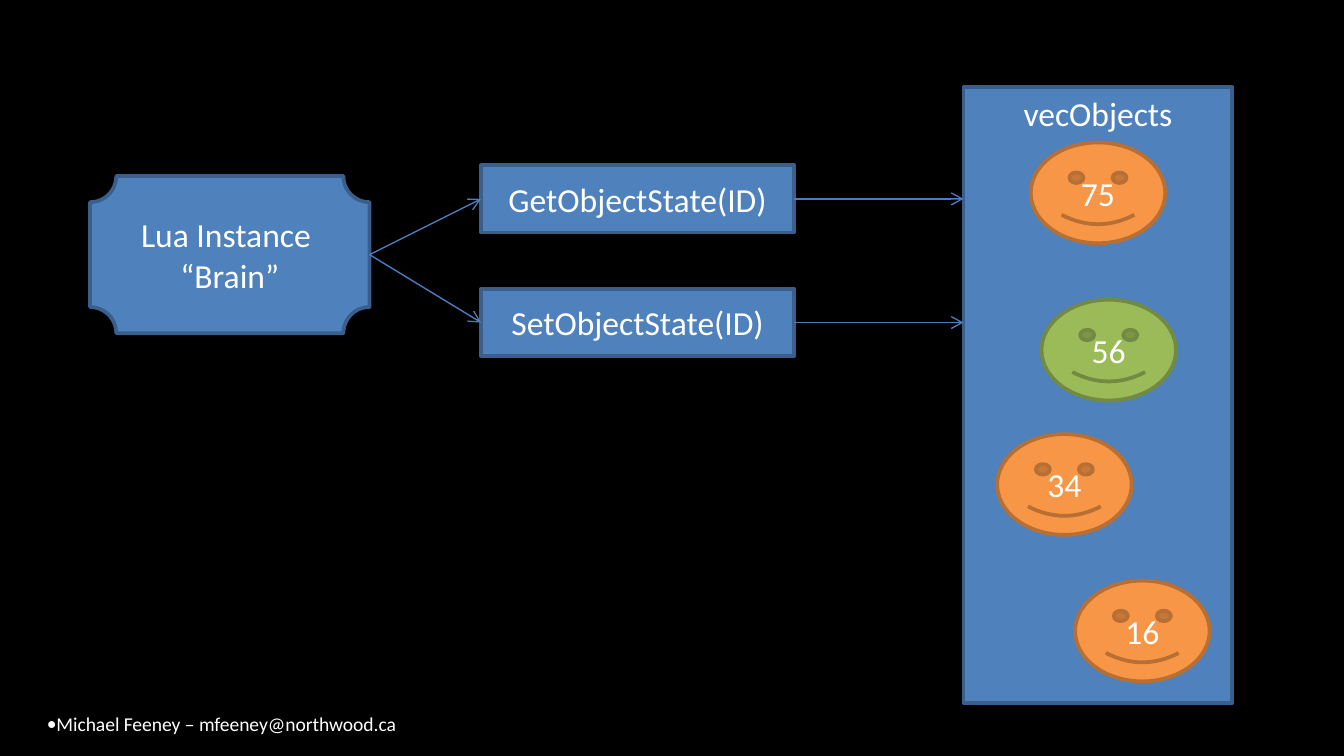
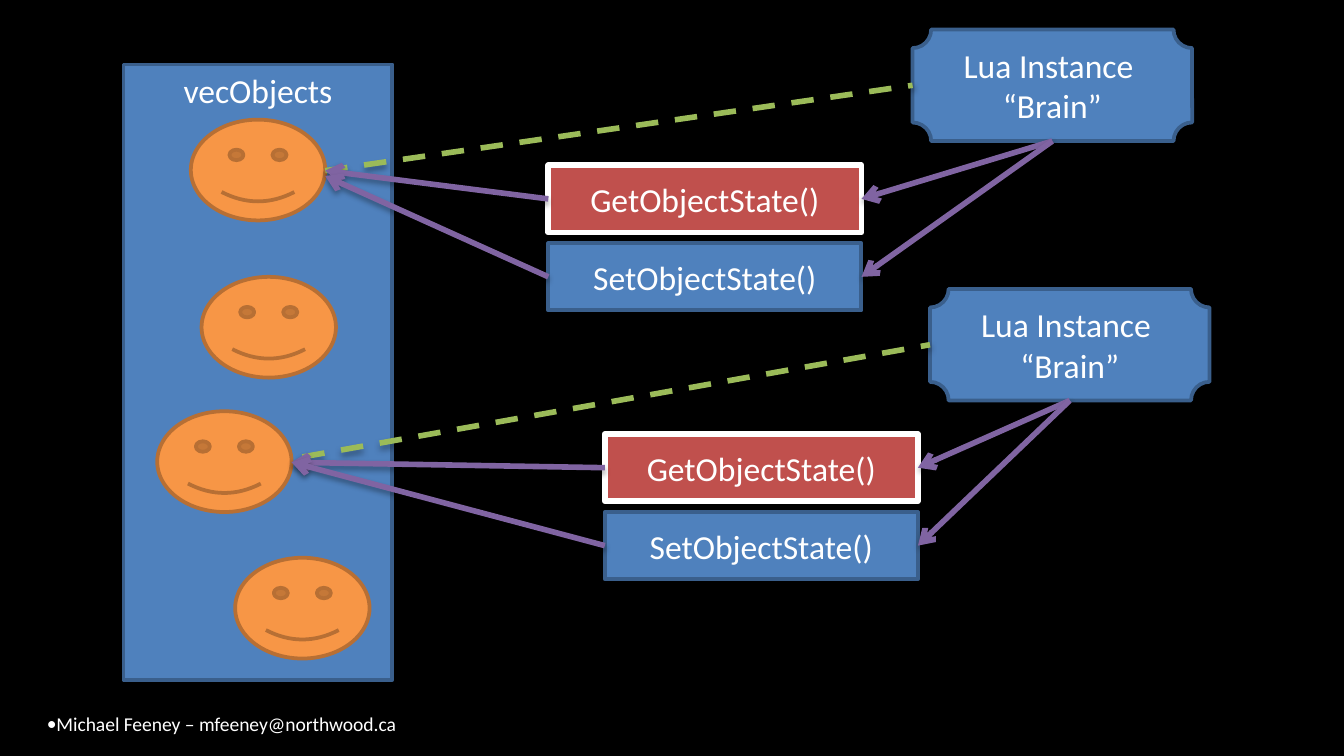
from lxml import etree
from pptx import Presentation
from pptx.dml.color import RGBColor
from pptx.enum import dml, shapes, text
from pptx.oxml import ns
from pptx.util import Inches, Pt

FONT = "Calibri"
BLACK, WHITE = "000000", "FFFFFF"
BLUE, DARK_BLUE, ARROW_BLUE = "4F81BD", "3A5F8C", "4B7EBC"
ORANGE, DARK_ORANGE = "F79646", "B76F34"
GREEN, DARK_GREEN = "9BBB59", "738A42"
RED, PURPLE = "C0504D", "8064A2"

SLIDE_WIDTH = Inches(10)
SLIDE_HEIGHT = SLIDE_WIDTH * 9 // 16
FOOTER = "Michael Feeney – mfeeney@northwood.ca"
BRAIN = ["Lua Instance ", "“Brain”"]
PANEL_TITLE = "vecObjects"
PANEL_SIZE = (2, 4.58)
FACE_SIZE = (1, 0.75)
FACE_OFFSETS = [(0.5, 0.41), (0.58, 1.58), (0.25, 2.58), (0.83, 3.67)]
BOX_SIZE = (2.33, 0.5)
BRAIN_WIDTH = 2.08
TOP, LEFT, BOTTOM, RIGHT = range(4)

ORANGE_FACE = (ORANGE, DARK_ORANGE)
GREEN_FACE = (GREEN, DARK_GREEN)

LOOKUP = {
    "panel": (7.17, 0.65),
    "faces": [("75", ORANGE_FACE), ("56", GREEN_FACE),
              ("34", ORANGE_FACE), ("16", ORANGE_FACE)],
    "brain": (0.67, 1.31),
    "brain_height": 1.17,
    "calls": [("GetObjectState(ID)", 1.23), ("SetObjectState(ID)", 2.15)],
    "calls_left": 3.58,
}

OWNERSHIP = {
    "panel": (0.92, 0.48),
    "faces": [("", ORANGE_FACE)] * 4,
    "brain_height": 0.83,
    "calls": ["GetObjectState()", "SetObjectState()"],
    "call_step": 0.58,
    "brains": [
        {"brain": (6.79, 0.22), "calls": (4.08, 1.23), "owned": (2.42, 1.27),
         "targets": [(2.42, 1.27), (2.42, 1.31)]},
        {"brain": (6.92, 2.15), "calls": (4.5, 3.23), "owned": (2.25, 3.4),
         "targets": [(2.17, 3.44), (2.17, 3.44)]},
    ],
}


def color(value):
    return RGBColor.from_string(value)


def add_xml(parent, tag, **attributes):
    return etree.SubElement(parent, ns.qn(tag), attributes)


def write(shape, lines, size=18, align=text.PP_ALIGN.CENTER,
          anchor=text.MSO_ANCHOR.MIDDLE, margin_top=0.05, bullet=None):
    frame = shape.text_frame
    frame.word_wrap = True
    frame.vertical_anchor = anchor
    frame.margin_top = Inches(margin_top)
    for index, line in enumerate(lines):
        paragraph = frame.add_paragraph() if index else frame.paragraphs[0]
        paragraph.alignment = align
        if bullet:
            properties = paragraph._p.get_or_add_pPr()
            add_xml(properties, "a:buFont", typeface=FONT)
            add_xml(properties, "a:buChar", char=bullet)
        run = paragraph.add_run()
        run.text = line
        run.font.name = FONT
        run.font.size = Pt(size)
        run.font.color.rgb = color(WHITE)


def add_shadow(effects, distance, opacity):
    shadow = add_xml(effects, "a:outerShdw", blurRad=str(Pt(3.1)),
                     dist=str(Pt(distance)), dir="5400000", rotWithShape="0")
    tone = add_xml(shadow, "a:srgbClr", val=BLACK)
    add_xml(tone, "a:alpha", val=str(opacity * 1000))


def add_block(slide, kind, position, size, lines=(), fill=BLUE, line=DARK_BLUE,
              line_width=2, shadow=False, **text_format):
    shape = slide.shapes.add_shape(kind, *map(Inches, position + size))
    shape.fill.solid()
    shape.fill.fore_color.rgb = color(fill)
    shape.line.color.rgb = color(line)
    shape.line.width = Pt(line_width)
    shape.shadow.inherit = False
    if shadow:
        effects = shape._element.spPr.find(ns.qn("a:effectLst"))
        add_shadow(effects, 1.6, 38)
    write(shape, lines, **text_format)
    return shape


def side_point(shape, side):
    across = {LEFT: 0, RIGHT: 1}.get(side, 0.5)
    down = {TOP: 0, BOTTOM: 1}.get(side, 0.5)
    return (shape.left + int(shape.width * across),
            shape.top + int(shape.height * down))


def add_link(slide, start, end, line, width, dashed=False, arrow=True,
             shadow=False):
    connector = slide.shapes.add_connector(
        shapes.MSO_CONNECTOR.STRAIGHT, *start, *end)
    connector.line.color.rgb = color(line)
    connector.line.width = Pt(width)
    if dashed:
        connector.line.dash_style = dml.MSO_LINE.DASH
    if arrow:
        add_xml(connector.line._get_or_add_ln(), "a:tailEnd", type="arrow")
    effects = add_xml(connector._element.spPr, "a:effectLst")
    if shadow:
        add_shadow(effects, 1.8, 35)


def add_slide(presentation):
    slide = presentation.slides.add_slide(presentation.slide_layouts[6])
    footer = slide.shapes.add_textbox(*map(Inches, (0.25, 5.25, 7.92, 0.29)))
    write(footer, [FOOTER], size=10.5, align=text.PP_ALIGN.LEFT,
          anchor=text.MSO_ANCHOR.TOP, bullet="•")
    return slide


def add_panel(slide, position, faces):
    add_block(slide, shapes.MSO_SHAPE.RECTANGLE, position, PANEL_SIZE,
              [PANEL_TITLE], anchor=text.MSO_ANCHOR.TOP, margin_top=0.04)
    for (label, (fill, line)), offset in zip(faces, FACE_OFFSETS):
        place = (position[0] + offset[0], position[1] + offset[1])
        add_block(slide, shapes.MSO_SHAPE.SMILEY_FACE, place, FACE_SIZE,
                  [label] if label else [], fill=fill, line=line)


def add_brain(slide, position, height):
    return add_block(slide, shapes.MSO_SHAPE.PLAQUE, position,
                     (BRAIN_WIDTH, height), BRAIN)


def add_call(slide, name, left, top, **block_format):
    return add_block(slide, shapes.MSO_SHAPE.RECTANGLE, (left, top), BOX_SIZE,
                     [name], **block_format)


def build_lookup(presentation):
    slide = add_slide(presentation)
    add_panel(slide, LOOKUP["panel"], LOOKUP["faces"])
    brain = add_brain(slide, LOOKUP["brain"], LOOKUP["brain_height"])
    calls = [add_call(slide, name, LOOKUP["calls_left"], top)
             for name, top in LOOKUP["calls"]]
    for call in calls:
        add_link(slide, side_point(brain, RIGHT), side_point(call, LEFT),
                 ARROW_BLUE, 0.75)
    for call in calls:
        start = side_point(call, RIGHT)
        add_link(slide, start, (Inches(LOOKUP["panel"][0]), start[1]),
                 ARROW_BLUE, 0.75)


def build_ownership(presentation):
    slide = add_slide(presentation)
    add_panel(slide, OWNERSHIP["panel"], OWNERSHIP["faces"])
    highlight = dict(fill=RED, line=WHITE, line_width=3, shadow=True)
    for group in OWNERSHIP["brains"]:
        brain = add_brain(slide, group["brain"], OWNERSHIP["brain_height"])
        add_link(slide, tuple(map(Inches, group["owned"])),
                 side_point(brain, LEFT), GREEN, 3,
                 dashed=True, arrow=False, shadow=True)
        left, top = group["calls"]
        calls = [
            add_call(slide, name, left, top + index * OWNERSHIP["call_step"],
                     **({} if index else highlight))
            for index, name in enumerate(OWNERSHIP["calls"])]
        for call, target in zip(calls, group["targets"]):
            add_link(slide, side_point(call, LEFT),
                     tuple(map(Inches, target)), PURPLE, 3, shadow=True)
        for call in calls:
            add_link(slide, side_point(brain, BOTTOM),
                     side_point(call, RIGHT), PURPLE, 3, shadow=True)


presentation = Presentation()
presentation.slide_width = SLIDE_WIDTH
presentation.slide_height = SLIDE_HEIGHT
background = presentation.slide_master.background.fill
background.solid()
background.fore_color.rgb = color(BLACK)
build_lookup(presentation)
build_ownership(presentation)
presentation.save("out.pptx")
